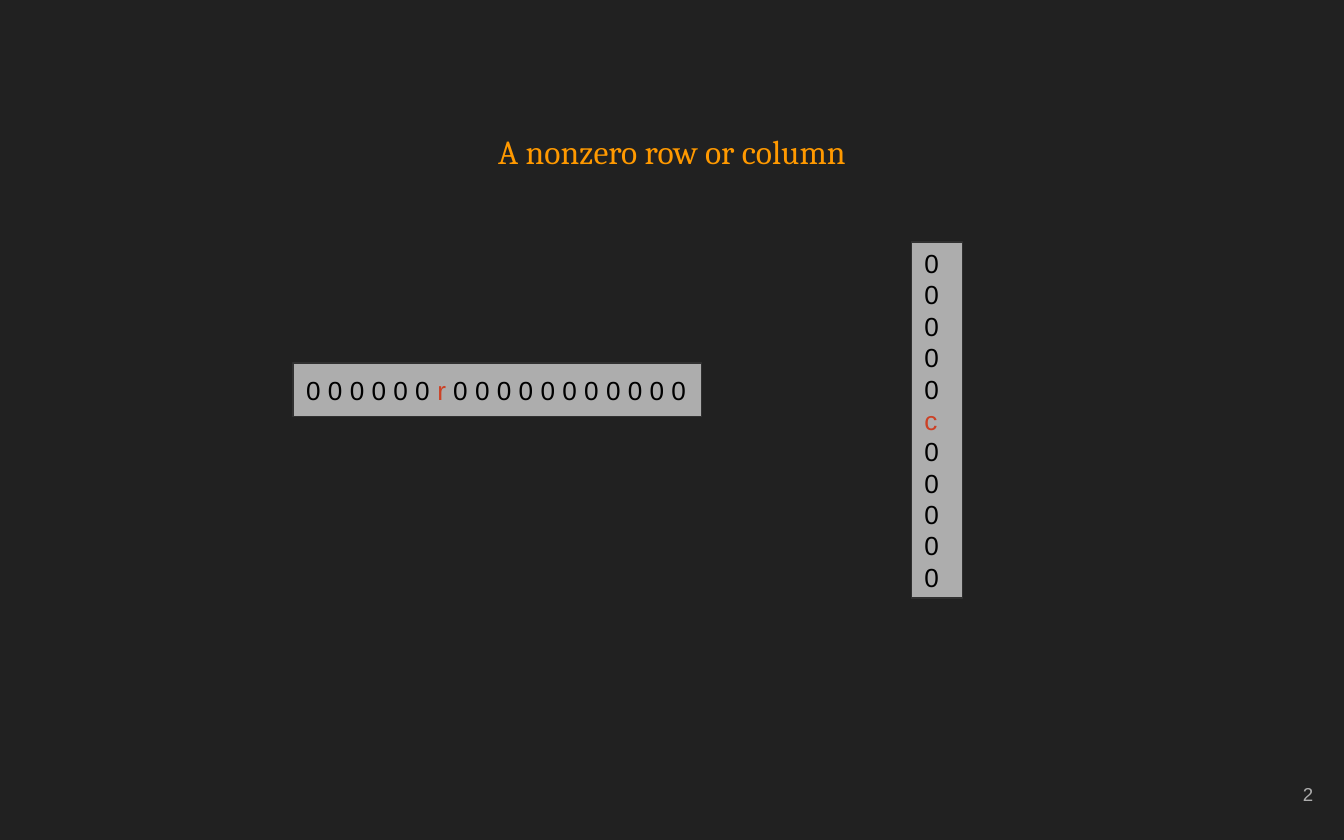
import dataclasses
import typing

import pptx
import pptx.dml.color
import pptx.enum.shapes
import pptx.enum.text
import pptx.util

HUES = {
    "back": "212121",
    "title": "FF9900",
    "panel": "ADADAD",
    "edge": "303030",
    "zero": "000000",
    "mark": "CC4125",
}
# The slide is a grid of 100 columns by 62.5 rows
CELL = pptx.util.Inches(0.1)
COLS, ROWS = 100, 62.5
ANCHOR = pptx.enum.text.MSO_ANCHOR
ALIGN = pptx.enum.text.PP_ALIGN


class Box(typing.NamedTuple):
    col: float
    row: float
    wide: float
    high: float

    def place(self) -> list[int]:
        return [round(side * CELL) for side in self]


@dataclasses.dataclass
class Vector:
    box: Box
    lines: list[str]


def hue(name: str) -> pptx.dml.color.RGBColor:
    return pptx.dml.color.RGBColor.from_string(HUES[name])


def set_frame(frame, anchor) -> None:
    frame.word_wrap = True
    frame.auto_size = pptx.enum.text.MSO_AUTO_SIZE.NONE
    frame.vertical_anchor = anchor
    frame.margin_left = frame.margin_right = CELL
    frame.margin_top = frame.margin_bottom = CELL


def set_font(para, face: str, size: float, color: str, align) -> None:
    para.alignment = align
    para.font.name = face
    para.font.size = pptx.util.Pt(size)
    para.font.color.rgb = hue(color)


def add_title(slide, box: Box, text: str) -> None:
    title = slide.shapes.title
    title.left, title.top, title.width, title.height = box.place()
    set_frame(title.text_frame, ANCHOR.TOP)
    para = title.text_frame.paragraphs[0]
    para.text = text
    para.line_spacing = 1.15
    para.space_after = pptx.util.Pt(16)
    set_font(para, "Cambria", 18, "title", ALIGN.CENTER)


def add_number(slide, box: Box, text: str) -> None:
    frame = slide.shapes.add_textbox(*box.place()).text_frame
    set_frame(frame, ANCHOR.MIDDLE)
    para = frame.paragraphs[0]
    para.text = text
    set_font(para, "Arial", 10, "panel", ALIGN.RIGHT)


def add_vector(slide, vector: Vector) -> None:
    kind = pptx.enum.shapes.MSO_SHAPE.RECTANGLE
    shape = slide.shapes.add_shape(kind, *vector.box.place())
    shape.shadow.inherit = False
    shape.fill.solid()
    shape.fill.fore_color.rgb = hue("panel")
    shape.line.color.rgb = hue("edge")
    shape.line.width = pptx.util.Pt(0.75)
    frame = shape.text_frame
    set_frame(frame, ANCHOR.MIDDLE)
    frame.text = "\n".join(vector.lines)
    for para, line in zip(frame.paragraphs, vector.lines):
        set_font(para, "Arial", 14, "zero", ALIGN.LEFT)
        mark = next((sign for sign in line if sign in "rc"), None)
        if mark:
            # Split the line so that the nonzero entry has its own color
            before, after = line.split(mark)
            para.clear()
            for part in filter(None, (before, mark, after)):
                run = para.add_run()
                run.text = part
                run.font.color.rgb = hue("mark" if part == mark else "zero")


def main() -> None:
    deck = pptx.Presentation()
    deck.slide_width = round(COLS * CELL)
    deck.slide_height = round(ROWS * CELL)
    slide = deck.slides.add_slide(deck.slide_layouts.get_by_name("Title Only"))
    slide.background.fill.solid()
    slide.background.fill.fore_color.rgb = hue("back")

    # Title and slide number
    add_title(slide, Box(3.4, 8.3, 93.2, 4.8), "A nonzero row or column")
    add_number(slide, Box(92.7, 56.7, 6, 4.8), "2")

    # Row vector and column vector
    row = [" ".join("0" * 6 + "r" + "0" * 11)]
    column = list("0" * 5 + "c" + "0" * 5)
    for vector in (
        Vector(Box(21.8, 27, 30.4, 4), row),
        Vector(Box(67.8, 18, 3.8, 26.5), column),
    ):
        add_vector(slide, vector)

    deck.save("out.pptx")


if __name__ == "__main__":
    main()
